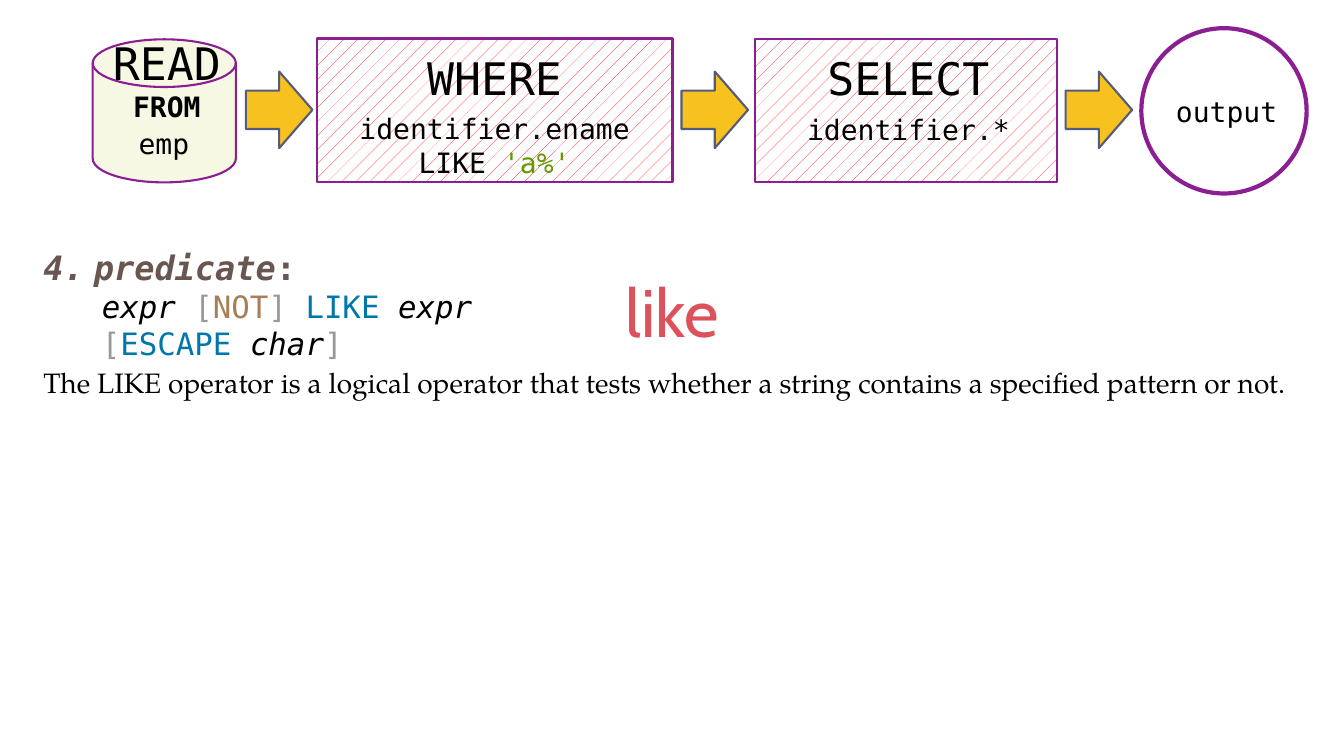
from lxml.etree import SubElement
from pptx import Presentation
from pptx.dml.color import RGBColor
from pptx.enum.dml import MSO_PATTERN
from pptx.enum.shapes import MSO_SHAPE
from pptx.enum.text import MSO_ANCHOR, MSO_AUTO_SIZE, PP_ALIGN
from pptx.oxml.ns import qn
from pptx.util import Inches, Pt

COLORS = {
    "black": "000000", "white": "FFFFFF", "dot": "0D0D0D", "red": "FF0000",
    "title": "DC525C", "purple": "8A1E92", "slate": "545C79", "gold": "F7C120",
    "cream": "F6F8E4", "string": "669900", "heading": "6A5650",
    "bracket": "999999", "option": "A67F59", "keyword": "0077AA",
}
MONO = "DejaVu Sans Mono"
SERIF = "TeX Gyre Pagella"
DISPLAY = "Cabin"


def color(name):
    return RGBColor.from_string(COLORS[name])


def write(shape, paragraphs, align=PP_ALIGN.CENTER, anchor=MSO_ANCHOR.TOP, **base):
    frame = shape.text_frame
    frame.word_wrap = True
    frame.auto_size = MSO_AUTO_SIZE.NONE
    frame.vertical_anchor = anchor
    for index, runs in enumerate(paragraphs):
        paragraph = frame.paragraphs[0] if index == 0 else frame.add_paragraph()
        paragraph.alignment = align
        paragraph.space_before = Pt(0)
        for text, changes in runs:
            style = {"size": 20, "font": MONO, "color": "black",
                     "bold": False, "italic": False, **base, **changes}
            run = paragraph.add_run()
            run.text = text
            run.font.name = style["font"]
            run.font.size = Pt(style["size"])
            run.font.bold = style["bold"]
            run.font.italic = style["italic"]
            run.font.color.rgb = color(style["color"])
    return frame


class PipelineSlide:
    def __init__(self, presentation):
        self.width = presentation.slide_width
        self.height = presentation.slide_height
        self.slide = presentation.slides.add_slide(presentation.slide_layouts[1])

    def area(self, left, top, width, height):
        return (round(self.width * left / 100), round(self.height * top / 100),
                round(self.width * width / 100), round(self.height * height / 100))

    def shape(self, kind, area, fill=None, line="purple", weight=1.5):
        shape = self.slide.shapes.add_shape(kind, *self.area(*area))
        shape.shadow.inherit = False
        shape.line.color.rgb = color(line)
        shape.line.width = Pt(weight)
        if fill is None:
            shape.fill.background()
        else:
            shape.fill.solid()
            shape.fill.fore_color.rgb = color(fill)
        return shape

    def dotted_box(self, area):
        fill = self.shape(MSO_SHAPE.RECTANGLE, area).fill
        fill.patterned()
        fill.pattern = MSO_PATTERN.PERCENT_5
        fill.fore_color.rgb = color("red")
        fill.back_color.rgb = color("white")

    def arrow(self, left):
        self.shape(MSO_SHAPE.RIGHT_ARROW, (left, 9.47, 4.95, 10.13), "gold", "slate")

    def text(self, area, paragraphs, **style):
        write(self.slide.shapes.add_textbox(*self.area(*area)), paragraphs, **style)

    def placeholder(self, index, area, paragraphs, **style):
        shape = self.slide.placeholders[index]
        shape.left, shape.top, shape.width, shape.height = self.area(*area)
        return write(shape, paragraphs, **style)

    def numbered(self, paragraph, start, indent):
        properties = paragraph._p.get_or_add_pPr()
        properties.set("marL", str(Inches(indent)))
        properties.set("indent", str(-Inches(indent)))
        SubElement(properties, qn("a:buFont"), typeface=MONO)
        SubElement(properties, qn("a:buAutoNum"), type="arabicPeriod", startAt=str(start))

    def unnumbered(self, paragraph, indent):
        properties = paragraph._p.get_or_add_pPr()
        properties.set("marL", str(Inches(indent)))
        properties.set("indent", "0")
        SubElement(properties, qn("a:buNone"))


def main():
    presentation = Presentation()
    presentation.slide_width = Inches(13.33)
    presentation.slide_height = Inches(7.5)
    page = PipelineSlide(presentation)

    page.placeholder(0, (13.73, 34.4, 72.54, 13.33), [[("like", {})]],
                     anchor=MSO_ANCHOR.MIDDLE, size=48, font=DISPLAY, color="title")
    page.text((2.48, 47.73, 95.1, 5.87),
              [[("The LIKE operator is a logical operator that tests whether "
                 "a string contains a specified pattern or not.", {})]],
              align=PP_ALIGN.LEFT, font=SERIF)

    for left in (18.3, 50.71, 79.29):
        page.arrow(left)

    page.shape(MSO_SHAPE.FLOWCHART_MAGNETIC_DISK, (6.9, 5.2, 10.65, 18.93), "cream")
    page.text((6.98, 4.13, 10.88, 13.07),
              [[("READ", {"size": 32})], [("FROM", {"bold": True})]])
    page.text((6.98, 16.13, 10.43, 5.87), [[("emp", {})]])

    identifier = [("identifier", {}), (".", {"color": "dot"})]
    stages = [
        ("WHERE", (23.56, 5.1, 26.48, 18.93), 23.75, 26.11,
         [("ename LIKE ", {}), ("'a%'", {"color": "string"})]),
        ("SELECT", (56.19, 5.2, 22.43, 18.93), 56.56, 22.06, [("*", {})]),
    ]
    for name, box, left, width, operand in stages:
        page.dotted_box(box)
        page.text((left, box[1] + 0.9, width, 8.53), [[(name, {})]], size=32)
        page.text((left, box[1] + 9, width, 5.87), [identifier + operand])

    page.shape(MSO_SHAPE.OVAL, (84.92, 3.73, 12.3, 21.87), weight=3)
    page.text((85.6, 11.87, 11.33, 5.87), [[("output", {})]])

    expression = {"italic": True}
    bracket = {"color": "bracket"}
    keyword = {"color": "keyword"}
    heading = {"size": 24, "color": "heading", "bold": True}
    syntax = page.placeholder(1, (2.48, 32, 43.51, 12.13), [
        [("predicate", {**heading, "italic": True}), (":", heading)],
        [("expr ", expression), ("[", bracket), ("NOT", {"color": "option"}),
         ("] ", bracket), ("LIKE ", keyword), ("expr ", expression),
         ("[", bracket), ("ESCAPE ", keyword), ("char", expression), ("]", bracket)],
    ], align=PP_ALIGN.LEFT, size=22)
    page.numbered(syntax.paragraphs[0], 4, 0.5)
    page.unnumbered(syntax.paragraphs[1], 0.58)

    presentation.save("out.pptx")


if __name__ == "__main__":
    main()
